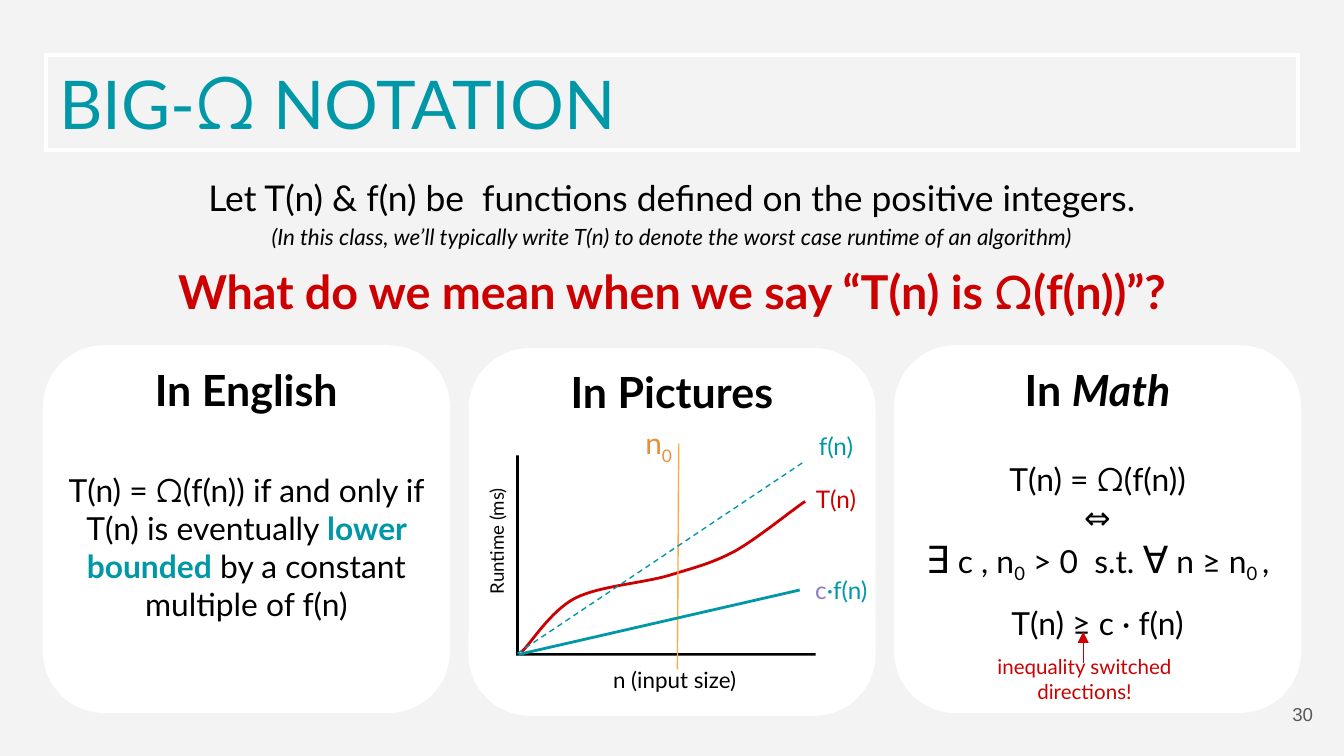
from collections import namedtuple
from itertools import pairwise
from lxml.etree import SubElement
from pptx import Presentation
from pptx.dml.color import RGBColor
from pptx.enum.dml import MSO_LINE
from pptx.enum.shapes import MSO_CONNECTOR, MSO_SHAPE
from pptx.enum.text import MSO_ANCHOR, MSO_AUTO_SIZE, PP_ALIGN
from pptx.oxml.ns import qn
from pptx.util import Pt

COLORS = {
    "page": "F3F3F3", "white": "FFFFFF", "black": "000000", "teal": "0097A7",
    "red": "CC0000", "amber": "FFAB40", "orange": "E69138",
    "purple": "8E7CC3", "gray": "595959",
}
Box = namedtuple("Box", "left top width height")


def color(name):
    return RGBColor.from_string(COLORS[name])


def inside(box, left, top, width, height):
    return Box(box.left + left, box.top + top, width, height)


def lengths(box):
    return [Pt(value) for value in box]


def add_span(para, text, size=17, ink="black", font="Lato", bold=False, italic=False, sub=False):
    span = para.add_run()
    span.text = text
    span.font.size = Pt(size)
    span.font.bold = bold
    span.font.italic = italic
    span.font.color.rgb = color(ink)
    span.font.name = font
    properties = span._r.get_or_add_rPr()
    for tag in ("a:ea", "a:cs"):
        SubElement(properties, qn(tag)).set("typeface", font)
    if sub:
        properties.set("baseline", "-25000")


def add_para(frame, *spans, align=PP_ALIGN.CENTER, before=0, spacing=1.0, **style):
    para = frame.paragraphs[0]
    if para.runs:
        para = frame.add_paragraph()
    para.alignment = align
    para.space_before = Pt(before)
    para.line_spacing = spacing
    for text, changes in spans:
        add_span(para, text, **{**style, **changes})


def set_frame(frame, inset=7.2, anchor=MSO_ANCHOR.MIDDLE):
    frame.word_wrap = True
    frame.auto_size = MSO_AUTO_SIZE.NONE
    frame.vertical_anchor = anchor
    frame.margin_left = frame.margin_right = Pt(inset)
    frame.margin_top = frame.margin_bottom = Pt(inset)
    return frame


def add_text(page, box, *spans, rotation=0, anchor=MSO_ANCHOR.MIDDLE, **style):
    shape = page.shapes.add_textbox(*lengths(box))
    shape.rotation = rotation
    frame = set_frame(shape.text_frame, anchor=anchor)
    add_para(frame, *spans, **style)
    return frame


def add_line(page, box, start, end, ink, weight=0.75, dash=None, arrow=False):
    ends = [Pt(value) for x, y in (start, end) for value in (box.left + x, box.top + y)]
    line = page.shapes.add_connector(MSO_CONNECTOR.STRAIGHT, *ends)
    line.line.color.rgb = color(ink)
    line.line.width = Pt(weight)
    if dash:
        line.line.dash_style = dash
    if arrow:
        SubElement(line.line._get_or_add_ln(), qn("a:tailEnd")).set("type", "triangle")
    SubElement(line._element.spPr, qn("a:effectLst"))


def add_curve(page, box, knots, ink, weight, steps=16):
    points = [knots[0]]
    for first in range(0, len(knots) - 1, 3):
        for step in range(1, steps + 1):
            stage = knots[first:first + 4]
            t = step / steps
            while len(stage) > 1:
                stage = [tuple(a + (b - a) * t for a, b in zip(p, q)) for p, q in pairwise(stage)]
            points += stage
    points = [(Pt(box.left + x), Pt(box.top + y)) for x, y in points]
    builder = page.shapes.build_freeform(*points[0])
    builder.add_line_segments(points[1:], close=False)
    curve = builder.convert_to_shape()
    curve.shadow.inherit = False
    curve.fill.background()
    curve.line.color.rgb = color(ink)
    curve.line.width = Pt(weight)


def add_title(page, box):
    title = page.shapes.title
    title.left, title.top, title.width, title.height = lengths(box)
    title.line.color.rgb = color("white")
    title.line.width = Pt(2.25)
    add_para(set_frame(title.text_frame), ("BIG-", {}), ("Ω", {"font": "Comfortaa"}),
             (" NOTATION", {}), align=PP_ALIGN.LEFT, size=36, ink="teal")


def add_intro(page, box):
    frame = add_text(page, inside(box, 0, 0, box.width, 39),
                     ("Let T(n) & f(n) be  functions defined on the positive integers.", {}),
                     size=19, spacing=1.15)
    add_para(frame, ("(In this class, we’ll typically write T(n) to denote the worst case "
                     "runtime of an algorithm)", {}), size=12, italic=True, spacing=1.15)
    add_text(page, inside(box, 0, 46, box.width, 34),
             ("What do we mean when we say “T(n) is ", {}),
             ("Ω", {"size": 23, "font": "Comfortaa"}), ("(f(n))”?", {}),
             size=25, ink="red", bold=True)


def add_solid(page, preset, box, ink, *adjustments):
    shape = page.shapes.add_shape(preset, *lengths(box))
    shape.shadow.inherit = False
    for index, value in enumerate(adjustments):
        shape.adjustments[index] = value
    shape.fill.solid()
    shape.fill.fore_color.rgb = color(ink)
    shape.line.fill.background()
    return shape


def add_card(page, box, *heading):
    card = add_solid(page, MSO_SHAPE.ROUNDED_RECTANGLE, box, "white", 0.167)
    frame = set_frame(card.text_frame, inset=0, anchor=MSO_ANCHOR.TOP)
    add_para(frame, *heading, size=23, bold=True)
    return frame


def add_english(page, box):
    frame = add_card(page, box, ("In English", {}))
    add_para(frame, ("T(n) = ", {}), ("Ω", {"size": 16, "font": "Comfortaa"}),
             ("(f(n)) if and only if T(n) is eventually ", {}),
             ("lower bounded", {"ink": "teal", "bold": True}), (" by a constant", {}), before=30)
    add_para(frame, ("multiple of f(n)", {}))


def add_plot(page, box):
    add_card(page, box, ("In Pictures", {}))
    add_solid(page, MSO_SHAPE.CORNER, inside(box, 25.5, 57.5, 160.5, 107.3), "black", 0.013, 0.014)
    add_text(page, inside(box, -42.2, 91.5, 111.6, 23.8), ("Runtime (ms)", {}),
             rotation=270, anchor=MSO_ANCHOR.TOP, size=10)
    add_text(page, inside(box, 51.4, 171.3, 118, 12.2), ("n (input size)", {}), size=12)
    knots = [(180.3, 82.1), (173.8, 86.4), (154.4, 102.2), (142.8, 108.7), (130.6, 115.2),
             (122, 117.3), (107.6, 121.7), (93.2, 126), (70.1, 127.4), (57.2, 133.9),
             (43.5, 141.1), (33.4, 158.4), (28.4, 162.7)]
    add_curve(page, box, knots, "red", 1.5)
    add_line(page, box, (112.6, 51.1), (111.9, 172.1), "amber")
    add_text(page, inside(box, 86, 41, 31.7, 22.3), ("n", {}), ("0", {"sub": True}),
             size=16, ink="orange")
    labels = [(174.5, 69.8, [("T(n)", {"ink": "red"})]),
              (177.4, 118.1, [("c", {"ink": "purple"}), ("·f(n)", {})]),
              (174.5, 41, [("f(n)", {})])]
    for left, top, spans in labels:
        add_text(page, inside(box, left, top, 44.6, 22.3), *spans, size=13, ink="teal")
    add_line(page, box, (26.2, 163.5), (180.3, 60.5), "teal", dash=MSO_LINE.DASH)
    add_line(page, box, (26.9, 164.1), (177.4, 129.6), "teal", weight=1.5)


def add_math(page, box):
    frame = add_card(page, box, ("In ", {}), ("Math", {"italic": True}))
    add_para(frame, ("T(n) = ", {}), ("Ω", {"size": 16, "font": "Comfortaa"}),
             ("(f(n))", {}), before=24)
    add_para(frame, ("⇔", {}))
    add_para(frame, ("∃", {"size": 20}), (" c , n", {}), ("0", {"sub": True}),
             (" > 0  s.t. ", {}), ("∀", {"size": 20}), (" n ≥ n", {}),
             ("0 ", {"sub": True}), (",", {}))
    add_para(frame, ("T(n) ≥ c · f(n)", {}), before=10)
    add_text(page, inside(box, 25, 165, 154, 27.4), ("inequality switched directions!", {}),
             size=11, ink="red")
    add_line(page, box, (101.3, 170), (101.3, 153.4), "red", arrow=True)


def main():
    deck = Presentation()
    deck.slide_width, deck.slide_height = Pt(720), Pt(405)
    page = deck.slides.add_slide(deck.slide_layouts[5])
    page.background.fill.solid()
    page.background.fill.fore_color.rgb = color("page")
    add_title(page, Box(24.5, 29.5, 671, 51))
    add_intro(page, Box(23, 93, 674, 80))
    cards = [(add_english, 185), (add_plot, 186.5), (add_math, 185)]
    for column, (add_region, top) in enumerate(cards):
        add_region(page, Box(23 + 228 * column, top, 218, 197))
    add_text(page, Box(667.5, 367, 43, 31), ("30", {}), align=PP_ALIGN.RIGHT,
             size=10, ink="gray", font="Arial")
    deck.save("out.pptx")


if __name__ == "__main__":
    main()
